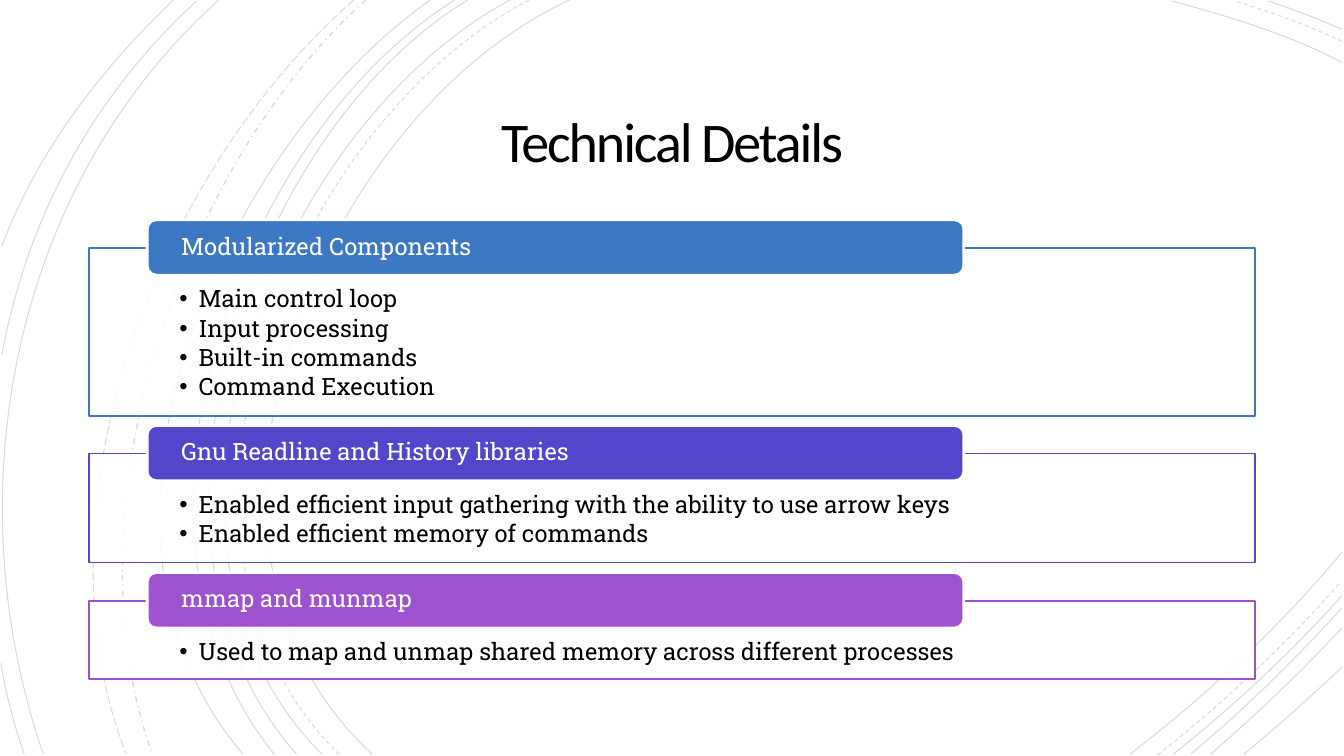
from lxml.etree import SubElement
from pptx import Presentation
from pptx.dml.color import RGBColor
from pptx.enum.dml import MSO_LINE
from pptx.enum.shapes import MSO_SHAPE
from pptx.enum.text import MSO_ANCHOR, PP_ALIGN
from pptx.oxml.ns import qn
from pptx.util import Inches, Pt

BLACK = RGBColor(0x00, 0x00, 0x00)
WHITE = RGBColor(0xFF, 0xFF, 0xFF)
BLUE = RGBColor(0x3C, 0x78, 0xC3)
INDIGO = RGBColor(0x52, 0x47, 0xCA)
PURPLE = RGBColor(0x9F, 0x52, 0xD0)
TITLE_FONT, BODY_FONT, BULLET_FONT = "Calibri", "Roboto Slab", "Arial"

TITLE = "Technical Details"
# Heading, colour, panel top, panel height, bullets
SECTIONS = [
    ("Modularized Components", BLUE, 2.46, 1.67,
     ["Main control loop", "Input processing", "Built-in commands", "Command Execution"]),
    ("Gnu Readline and History libraries", INDIGO, 4.5, 1.08,
     ["Enabled efficient input gathering with the ability to use arrow keys",
      "Enabled efficient memory of commands"]),
    ("mmap and munmap", PURPLE, 5.96, 0.78,
     ["Used to map and unmap shared memory across different processes"]),
]

# Background arcs by dash style: start, two control points, end
ARCS = {
    MSO_LINE.SOLID: [
        ((5.65, 0), (3.15, 1.15), (1.43, 5.4), (3.69, 7.48)),
        ((13.31, 0.62), (12.78, 0.34), (12.18, 0.16), (11.62, 0.01)),
        ((11.21, 7.48), (11.97, 6.9), (12.69, 6.22), (13.31, 5.48)),
        ((5.06, 0), (2.7, 1.27), (1.1, 5.37), (3.19, 7.48)),
        ((13.31, 0.29), (13.07, 0.19), (12.83, 0.09), (12.58, 0.01)),
        ((11.64, 7.48), (12.23, 7.01), (12.8, 6.48), (13.31, 5.91)),
        ((4.64, 0), (2.44, 1.33), (1.1, 5.41), (2.94, 7.48)),
        ((11.81, 7.48), (12.34, 7.04), (12.84, 6.55), (13.31, 6.03)),
        ((4.51, 0), (2.31, 1.38), (0.97, 5.33), (2.72, 7.48)),
        ((12.01, 7.48), (12.46, 7.09), (12.9, 6.67), (13.31, 6.23)),
        ((4.27, 0), (2.17, 1.47), (0.53, 5.29), (2.41, 7.48)),
        ((12.34, 7.48), (12.67, 7.21), (12.99, 6.92), (13.31, 6.62)),
        ((2.17, 0), (0.11, 1.85), (-0.46, 4.9), (0.43, 7.48)),
        ((1.95, 0.01), (0.92, 0.96), (0.28, 2.14), (0.02, 3.51)),
        ((0.01, 6.58), (0.06, 6.89), (0.14, 7.19), (0.24, 7.48)),
        ((1.72, 0), (1, 0.69), (0.37, 1.5), (0.02, 2.44)),
    ],
    MSO_LINE.DASH: [
        ((5.25, 0), (2.85, 1.25), (1.23, 5.37), (3.36, 7.48)),
        ((13.31, 0.41), (12.97, 0.25), (12.6, 0.12), (12.25, 0.01)),
        ((11.48, 7.49), (12.13, 6.98), (12.75, 6.4), (13.3, 5.77)),
    ],
    MSO_LINE.DASH_DOT: [((3.63, 0), (1.76, 1.66), (0.65, 5.09), (1.51, 7.48))],
    MSO_LINE.LONG_DASH: [((3.51, 0), (1.57, 1.69), (0.29, 4.99), (1.25, 7.48))],
}

PANEL_LEFT, PANEL_WIDTH = 0.88, 11.57
LABEL_LEFT, LABEL_WIDTH, LABEL_HEIGHT, LABEL_RISE = 1.46, 8.1, 0.55, 0.28


def set_alpha(properties, percent):
    """Make the solid colour inside an XML element partly transparent."""
    color = next(properties.iter(qn("a:srgbClr")))
    SubElement(color, qn("a:alpha")).set("val", str(percent * 1000))


def add_arc(shapes, points, dash):
    """Draw one faint background arc as a single cubic curve."""
    start, *rest = [(Inches(x), Inches(y)) for x, y in points]
    builder = shapes.build_freeform(*start)
    builder.add_line_segments(rest, close=False)
    arc = builder.convert_to_shape()
    outline = next(arc._element.iter(qn("a:path")))
    segments = outline.findall(qn("a:lnTo"))
    curve = SubElement(outline, qn("a:cubicBezTo"))
    for segment in segments:
        curve.append(segment[0])
        outline.remove(segment)
    arc.shadow.inherit = False
    arc.fill.background()
    arc.line.color.rgb = BLACK
    arc.line.width = Pt(1 if dash == MSO_LINE.DASH_DOT else 0.75)
    arc.line.dash_style = dash
    set_alpha(arc.line._get_or_add_ln(), 15)


def add_box(shapes, kind, bounds, fill, line, width):
    """Add a filled, outlined preset shape."""
    box = shapes.add_shape(kind, *map(Inches, bounds))
    box.shadow.inherit = False
    box.fill.solid()
    box.fill.fore_color.rgb = fill
    box.line.color.rgb = line
    box.line.width = Pt(width)
    return box


def write_text(shape, lines, insets, anchor, font, size, color, align, spacing):
    """Fill a shape with one formatted paragraph per line."""
    frame = shape.text_frame
    frame.word_wrap = True
    frame.vertical_anchor = anchor
    frame.margin_left, frame.margin_top, frame.margin_right, frame.margin_bottom = map(
        Inches, insets)
    frame.text = "\n".join(lines)
    for paragraph in frame.paragraphs:
        paragraph.alignment = align
        paragraph.line_spacing = spacing
        for run in paragraph.runs:
            run.font.name = font
            run.font.size = Pt(size)
            run.font.color.rgb = color
    return frame.paragraphs


def add_bullet(paragraph):
    """Give a paragraph a hanging round bullet."""
    paragraph.space_after = Pt(2.55)
    properties = paragraph._p.get_or_add_pPr()
    properties.set("marL", str(Inches(0.19)))
    properties.set("indent", str(-Inches(0.19)))
    SubElement(properties, qn("a:buFont")).set("typeface", BULLET_FONT)
    SubElement(properties, qn("a:buChar")).set("char", "\u2022")


def add_section(shapes, heading, color, top, height, bullets):
    """Add an outlined bullet panel with its heading label on the top edge."""
    panel = add_box(shapes, MSO_SHAPE.RECTANGLE, (PANEL_LEFT, top, PANEL_WIDTH, height),
                    WHITE, color, 1.25)
    set_alpha(panel.fill._xPr.find(qn("a:solidFill")), 90)
    for paragraph in write_text(panel, bullets, (0.9, 0.39, 0.9, 0.13), MSO_ANCHOR.TOP,
                                BODY_FONT, 17, BLACK, PP_ALIGN.LEFT, 0.9):
        add_bullet(paragraph)
    label = add_box(shapes, MSO_SHAPE.ROUNDED_RECTANGLE,
                    (LABEL_LEFT, top - LABEL_RISE, LABEL_WIDTH, LABEL_HEIGHT), color, WHITE, 2)
    write_text(label, [heading], (0.31, 0, 0.31, 0), MSO_ANCHOR.MIDDLE,
               BODY_FONT, 17, WHITE, PP_ALIGN.LEFT, 0.9)


presentation = Presentation()
presentation.slide_width, presentation.slide_height = Inches(13.33), Inches(7.5)
slide = presentation.slides.add_slide(presentation.slide_layouts[6])

for dash, arcs in ARCS.items():
    for points in arcs:
        add_arc(slide.shapes, points, dash)

title = slide.shapes.add_textbox(*map(Inches, (1.92, 0.87, 9.49, 1.15)))
title_paragraph, = write_text(title, [TITLE], (0.25,) * 4, MSO_ANCHOR.MIDDLE,
                              TITLE_FONT, 40, BLACK, PP_ALIGN.CENTER, 0.85)
title_paragraph.runs[0].font._element.set("spc", "-150")

for section in SECTIONS:
    add_section(slide.shapes, *section)

presentation.save("out.pptx")
